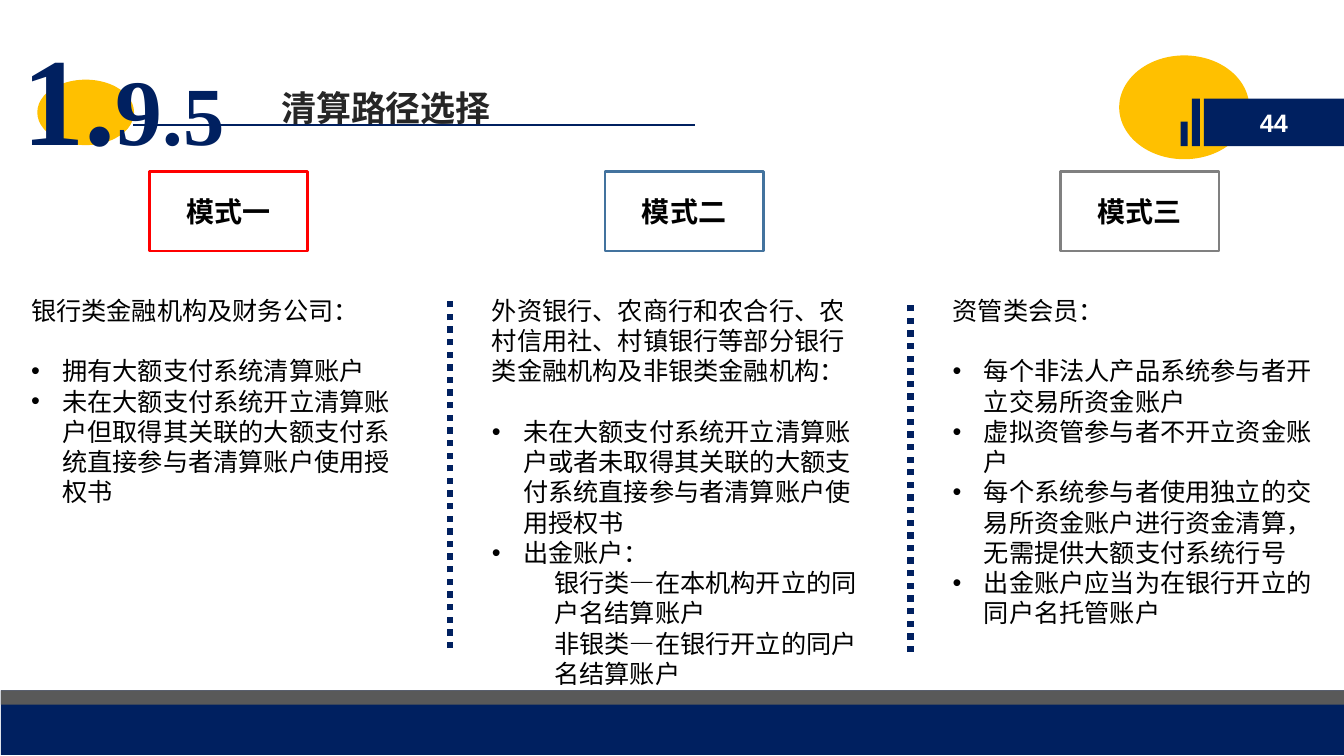
from lxml import etree
from pptx import Presentation
from pptx.dml.color import RGBColor
from pptx.enum.dml import MSO_LINE
from pptx.enum.shapes import MSO_CONNECTOR, MSO_SHAPE
from pptx.enum.text import MSO_ANCHOR, PP_ALIGN
from pptx.oxml.ns import qn
from pptx.util import Inches, Pt

NAVY = RGBColor(0x00, 0x20, 0x60)
GOLD = RGBColor(0xFF, 0xC0, 0x00)
GREY = RGBColor(0x59, 0x59, 0x59)
CHARCOAL = RGBColor(0x26, 0x26, 0x26)
BLACK = RGBColor(0, 0, 0)
WHITE = RGBColor(0xFF, 0xFF, 0xFF)
RED = RGBColor(0xFF, 0, 0)
BLUE = RGBColor(0x43, 0x73, 0x9E)
SILVER = RGBColor(0x80, 0x80, 0x80)

CJK = "Noto Sans CJK SC"
SLIDE_W, SLIDE_H = 13.33, 7.5
COLUMN_PITCH, TAG_PITCH = 4.57, 4.52
HEADING, BULLET, DETAIL = range(3)

MODES = [
    ("模式一", RED, [
        (HEADING, "银行类金融机构及财务公司："),
        (BULLET, "拥有大额支付系统清算账户"),
        (BULLET, "未在大额支付系统开立清算账户但取得其关联的大额支付系统直接参与者清算账户使用授权书"),
    ]),
    ("模式二", BLUE, [
        (HEADING, "外资银行、农商行和农合行、农村信用社、村镇银行等部分银行类金融机构及非银类金融机构："),
        (BULLET, "未在大额支付系统开立清算账户或者未取得其关联的大额支付系统直接参与者清算账户使用授权书"),
        (BULLET, "出金账户："),
        (DETAIL, "银行类—在本机构开立的同户名结算账户"),
        (DETAIL, "非银类—在银行开立的同户名结算账户"),
    ]),
    ("模式三", SILVER, [
        (HEADING, "资管类会员："),
        (BULLET, "每个非法人产品系统参与者开立交易所资金账户"),
        (BULLET, "虚拟资管参与者不开立资金账户"),
        (BULLET, "每个系统参与者使用独立的交易所资金账户进行资金清算，无需提供大额支付系统行号"),
        (BULLET, "出金账户应当为在银行开立的同户名托管账户"),
    ]),
]


def add_block(slide, kind, box, fill=None, outline=None):
    """Add a flat preset shape with an optional fill and outline."""
    block = slide.shapes.add_shape(kind, *map(Inches, box))
    block.shadow.inherit = False
    if fill is None:
        block.fill.background()
    else:
        block.fill.solid()
        block.fill.fore_color.rgb = fill
    if outline is None:
        block.line.fill.background()
    else:
        block.line.color.rgb = outline
        block.line.width = Pt(2)
    return block


def add_rule(slide, start, end, width, dash=None):
    """Add a straight navy line."""
    rule = slide.shapes.add_connector(
        MSO_CONNECTOR.STRAIGHT, *map(Inches, (*start, *end)))
    rule.line.color.rgb = NAVY
    rule.line.width = Pt(width)
    if dash is not None:
        rule.line.dash_style = dash
    etree.SubElement(rule._element.spPr, qn("a:effectLst"))


def add_text_frame(slide, box):
    """Add a wrapping text box and return its frame."""
    frame = slide.shapes.add_textbox(*map(Inches, box)).text_frame
    frame.word_wrap = True
    return frame


def style(paragraph, size, color, bold=False, face=CJK):
    """Set the paragraph font and the East Asian face of its runs."""
    font = paragraph.font
    font.name, font.size, font.bold = face, Pt(size), bold
    font.color.rgb = color
    for run in paragraph.runs:
        east_asian = etree.SubElement(run._r.get_or_add_rPr(), qn("a:ea"))
        east_asian.set("typeface", face)


def center_label(block, label, size, color, face=CJK):
    """Write a bold centred label in a shape."""
    frame = block.text_frame
    frame.vertical_anchor = MSO_ANCHOR.MIDDLE
    paragraph = frame.paragraphs[0]
    paragraph.text = label
    paragraph.alignment = PP_ALIGN.CENTER
    style(paragraph, size, color, True, face)


def indent(paragraph, level):
    """Indent a paragraph by its level and give bullets their mark."""
    properties = paragraph._p.get_or_add_pPr()
    properties.set("marL", str(Inches(0.31 * level)))
    if level == BULLET:
        properties.set("indent", str(-Inches(0.31)))
        etree.SubElement(properties, qn("a:buFont")).set("typeface", "Arial")
        etree.SubElement(properties, qn("a:buChar")).set("char", "•")
    else:
        properties.set("indent", "0")


def draw_page_badge(slide, left, top, width, height):
    """Draw the gold disc, stepped bars and page number."""
    add_block(slide, MSO_SHAPE.OVAL, (left, top, 1.29, height), GOLD)
    bar_top, bar_height = top + 0.43, 0.47
    number = add_block(slide, MSO_SHAPE.RECTANGLE,
                       (left + 0.84, bar_top, width - 0.84, bar_height), NAVY)
    center_label(number, "44", 18, WHITE, "Arial")
    for offset, bar_width, share in ((0.72, 0.08, 1), (0.61, 0.07, 0.52)):
        add_block(slide, MSO_SHAPE.RECTANGLE,
                  (left + offset, bar_top + bar_height * (1 - share),
                   bar_width, bar_height * share), NAVY)


def draw_footer(slide, left, top, width, height):
    """Draw the navy footer under its grey strip."""
    add_block(slide, MSO_SHAPE.RECTANGLE, (left, top, width, height), NAVY)
    add_block(slide, MSO_SHAPE.RECTANGLE, (left, top, width, 0.14), GREY)


def draw_title(slide, left, top, width):
    """Draw the section number, title and underline."""
    add_block(slide, MSO_SHAPE.OVAL, (left + 0.27, top + 0.64, 0.96, 0.65), GOLD)
    add_rule(slide, (left + 1.22, top + 1.09), (left + width, top + 1.09), 1.5)
    title = add_text_frame(slide, (left + 2.59, top + 0.66, 7.6, 0.52)).paragraphs[0]
    title.text = "清算路径选择"
    style(title, 25, CHARCOAL, True)
    frame = add_text_frame(slide, (left, top, 3.1, 1.62))
    frame.margin_left = frame.margin_right = Inches(0.12)
    frame.margin_top = frame.margin_bottom = Inches(0.06)
    number = frame.paragraphs[0]
    for digits, size in (("1.", 89), ("9", 67), (".5", 59)):
        run = number.add_run()
        run.text = digits
        run.font.size = Pt(size)
    style(number, 89, NAVY, True, "Times New Roman")


def draw_tags(slide, left, top, width, height):
    """Draw the row of outlined mode names."""
    for column, (name, color, _) in enumerate(MODES):
        tag = add_block(slide, MSO_SHAPE.RECTANGLE,
                        (left + column * TAG_PITCH, top, width, height), None, color)
        center_label(tag, name, 20, BLACK)


def draw_columns(slide, left, top, width, height):
    """Draw the mode descriptions with dotted dividers between them."""
    for column, (_, _, entries) in enumerate(MODES):
        x = left + column * COLUMN_PITCH
        frame = add_text_frame(slide, (x, top, width, height))
        for row, (level, wording) in enumerate(entries):
            paragraph = frame.add_paragraph() if row else frame.paragraphs[0]
            paragraph.text = wording
            if level == HEADING:
                paragraph.space_after = Pt(21.6)
            indent(paragraph, level)
            style(paragraph, 18, BLACK)
        if column:
            divider_top = top + 0.04 + 0.04 * column
            add_rule(slide, (x - 0.32, divider_top + 3.47), (x - 0.32, divider_top),
                     4.5, MSO_LINE.ROUND_DOT)


def main():
    """Build and save the slide."""
    deck = Presentation()
    deck.slide_width, deck.slide_height = Inches(SLIDE_W), Inches(SLIDE_H)
    slide = deck.slides.add_slide(deck.slide_layouts[6])
    draw_page_badge(slide, 11.1, 0.55, SLIDE_W - 11.1, 1.03)
    draw_footer(slide, 0.01, 6.85, SLIDE_W - 0.01, 0.64)
    draw_title(slide, 0.1, 0.15, 6.79)
    draw_tags(slide, 1.48, 1.7, 1.57, 0.79)
    draw_columns(slide, 0.21, 2.88, 3.94, 3.78)
    deck.save("out.pptx")


if __name__ == "__main__":
    main()
